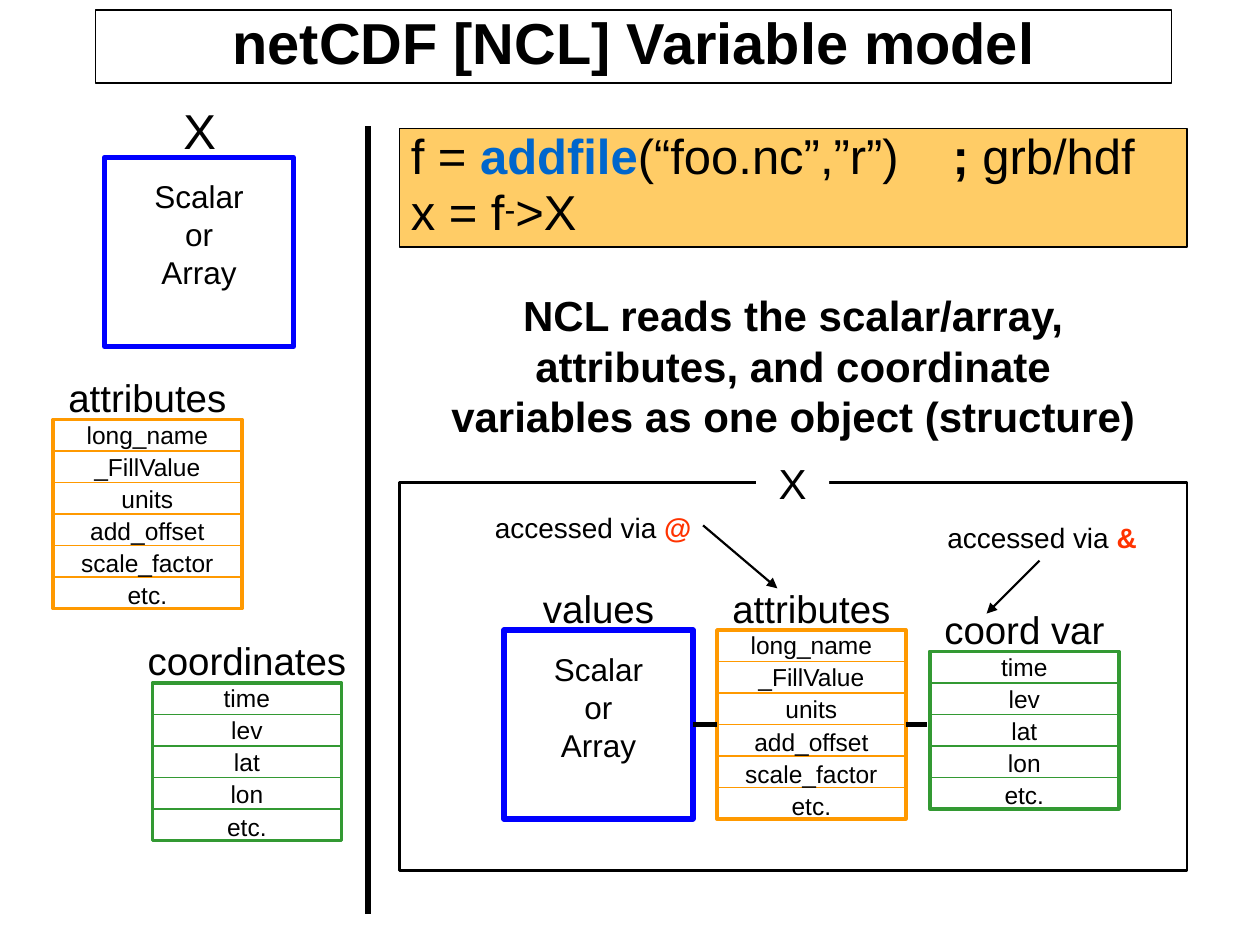
from pptx import Presentation
from pptx.dml.color import RGBColor
from pptx.enum.shapes import MSO_CONNECTOR, MSO_SHAPE
from pptx.enum.text import MSO_ANCHOR, MSO_AUTO_SIZE, PP_ALIGN
from pptx.oxml.ns import qn
from pptx.util import Inches, Pt
from lxml.etree import SubElement

BLACK = RGBColor(0x00, 0x00, 0x00)
WHITE = RGBColor(0xFF, 0xFF, 0xFF)
BLUE = RGBColor(0x00, 0x00, 0xFF)
ORANGE = RGBColor(0xFF, 0x99, 0x00)
GREEN = RGBColor(0x33, 0x99, 0x33)
RED = RGBColor(0xFF, 0x33, 0x00)
CODE_FILL = RGBColor(0xFF, 0xCC, 0x66)
CODE_BLUE = RGBColor(0x00, 0x66, 0xCC)

FONT = "Arial"
BOX_WIDTH = 1.5
ROW_HEIGHT = 0.25
ATTRIBUTES = ["long_name", "_FillValue", "units", "add_offset", "scale_factor", "etc."]
COORDINATES = ["time", "lev", "lat", "lon", "etc."]


def write_text(shape, paragraphs, size, bold=False, align=PP_ALIGN.CENTER,
               margin=0.1, line_spacing=None, space_before=0):
    """Fill a shape; each paragraph is a string or a list of (text, font changes)."""
    frame = shape.text_frame
    frame.word_wrap = True
    frame.vertical_anchor = MSO_ANCHOR.TOP
    frame.margin_left = frame.margin_right = Inches(margin)
    frame.margin_top = frame.margin_bottom = Inches(0.05)
    for index, content in enumerate(paragraphs):
        paragraph = frame.add_paragraph() if index else frame.paragraphs[0]
        paragraph.alignment = align
        paragraph.space_before = Pt(space_before)
        if line_spacing:
            paragraph.line_spacing = line_spacing
        paragraph.font.name = FONT
        paragraph.font.size = Pt(size)
        paragraph.font.bold = bold
        paragraph.font.color.rgb = BLACK
        for text, changes in [(content, {})] if isinstance(content, str) else content:
            run = paragraph.add_run()
            run.text = text
            if "bold" in changes:
                run.font.bold = changes["bold"]
            if "color" in changes:
                run.font.color.rgb = changes["color"]
            if "size" in changes:
                run.font.size = Pt(changes["size"])
            if "baseline" in changes:
                run._r.get_or_add_rPr().set("baseline", str(changes["baseline"] * 1000))
    return frame


def add_label(slide, left, top, width, height, paragraphs, size, **options):
    box = slide.shapes.add_textbox(Inches(left), Inches(top), Inches(width), Inches(height))
    frame = write_text(box, paragraphs, size, **options)
    frame.auto_size = MSO_AUTO_SIZE.SHAPE_TO_FIT_TEXT


def add_rectangle(slide, left, top, width, height, line=None, line_width=1, fill=None):
    shape = slide.shapes.add_shape(
        MSO_SHAPE.RECTANGLE, Inches(left), Inches(top), Inches(width), Inches(height))
    shape.shadow.inherit = False
    if fill is None:
        shape.fill.background()
    else:
        shape.fill.solid()
        shape.fill.fore_color.rgb = fill
    if line is None:
        shape.line.fill.background()
    else:
        shape.line.color.rgb = line
        shape.line.width = Pt(line_width)
    return shape


def add_line(slide, start, end, width, color=BLACK, arrow=False):
    connector = slide.shapes.add_connector(
        MSO_CONNECTOR.STRAIGHT, *(Inches(value) for value in start + end))
    connector.line.color.rgb = color
    connector.line.width = Pt(width)
    SubElement(connector._element.spPr, qn("a:effectLst"))
    if arrow:
        SubElement(connector.line._get_or_add_ln(), qn("a:tailEnd"), type="triangle")
    return connector


def add_value_box(slide, left, top):
    box = add_rectangle(slide, left, top, BOX_WIDTH, BOX_WIDTH, BLUE, 3)
    add_label(slide, left + 0.25, top + 0.11, 1, 1, ["Scalar or Array"], 18)
    return box


def add_heading(slide, left, top, text):
    """Centre a heading over the box whose left and top are given."""
    add_label(slide, left - 0.04, top - 0.41, BOX_WIDTH + 0.08, 0.47, [text], 22, margin=0)


def add_list_box(slide, left, top, heading, names, color):
    """Draw a headed box with one ruled row for each name."""
    add_heading(slide, left, top, heading)
    height = len(names) * ROW_HEIGHT
    box = add_rectangle(slide, left, top, BOX_WIDTH, height, color, 2)
    for row in range(1, len(names)):
        y = top + row * ROW_HEIGHT
        add_line(slide, (left, y), (left + BOX_WIDTH, y), 1, color)
    add_label(slide, left, top + 0.04, BOX_WIDTH, height + 0.26, names, 14,
              margin=0, line_spacing=0.57, space_before=8.8)
    return box


def add_access_note(slide, left, top, symbol, start, end):
    add_line(slide, start, end, 1.25, arrow=True)
    add_label(slide, left, top, 1.92, 0.37,
              [[("accessed via ", {}), (symbol, {"color": RED, "bold": True})]],
              16, align=PP_ALIGN.LEFT)


def add_tab_stop(paragraph, position):
    tabs = paragraph._p.pPr.makeelement(qn("a:tabLst"))
    SubElement(tabs, qn("a:tab"), pos=str(Inches(position)), algn="l")
    paragraph._p.pPr.find(qn("a:defRPr")).addprevious(tabs)


def add_title(slide):
    title = add_rectangle(slide, 0.76, 0.08, 8.54, 0.58, BLACK, 0.75)
    frame = write_text(title, ["netCDF [NCL] Variable model"], 33, bold=True,
                       margin=0.09, line_spacing=0.85)
    frame.vertical_anchor = MSO_ANCHOR.MIDDLE


def add_code(slide):
    box = add_rectangle(slide, 3.17, 1.02, 6.25, 0.94, BLACK, 1, CODE_FILL)
    code = [
        [("f = ", {}), ("addfile", {"color": CODE_BLUE, "bold": True}),
         ("(“foo.nc”,”r”)\t", {}), (";", {"bold": True}), (" grb/hdf", {})],
        [("x = f", {}), ("-", {"size": 32, "baseline": 16}), (">X", {})],
    ]
    frame = write_text(box, code, 28, align=PP_ALIGN.LEFT, margin=0.09, line_spacing=0.85)
    add_tab_stop(frame.paragraphs[0], 4.3)


def add_file_parts(slide):
    add_value_box(slide, 0.83, 1.25)
    add_label(slide, 1.25, 0.75, 0.67, 0.57, ["X"], 28)
    add_list_box(slide, 0.42, 3.33, "attributes", ATTRIBUTES, ORANGE)
    add_list_box(slide, 1.21, 5.42, "coordinates", COORDINATES, GREEN)


def add_variable_object(slide):
    add_rectangle(slide, 3.17, 3.83, 6.25, 3.08, BLACK, 1.25)
    name = add_rectangle(slide, 6, 3.58, 0.58, 0.5, fill=WHITE)
    write_text(name, ["X"], 24)

    values = add_value_box(slide, 4, 5)
    add_heading(slide, 4, 5, "values")
    attributes = add_list_box(slide, 5.69, 5, "attributes", ATTRIBUTES, ORANGE)
    add_list_box(slide, 7.38, 5.17, "coord var", COORDINATES, GREEN)

    first_link = add_line(slide, (5.5, 5.75), (5.69, 5.75), 3)
    first_link.begin_connect(values, 3)
    first_link.end_connect(attributes, 1)
    second_link = add_line(slide, (7.19, 5.75), (7.36, 5.75), 3)
    second_link.begin_connect(attributes, 3)

    add_access_note(slide, 3.83, 4, "@", (5.58, 4.17), (6.17, 4.67))
    add_access_note(slide, 7.42, 4.08, "&", (8.25, 4.45), (7.83, 4.87))


def main():
    presentation = Presentation()
    presentation.slide_width = Inches(10)
    presentation.slide_height = Inches(7.5)
    slide = presentation.slides.add_slide(presentation.slide_layouts[6])

    add_title(slide)
    add_code(slide)
    add_file_parts(slide)
    add_line(slide, (2.92, 1), (2.92, 7.25), 3)
    add_label(slide, 3.42, 2.25, 5.75, 1.3,
              ["NCL reads the scalar/array, attributes, and coordinate "
               "variables as one object (structure)"], 24, bold=True)
    add_variable_object(slide)
    presentation.save("out.pptx")


if __name__ == "__main__":
    main()
